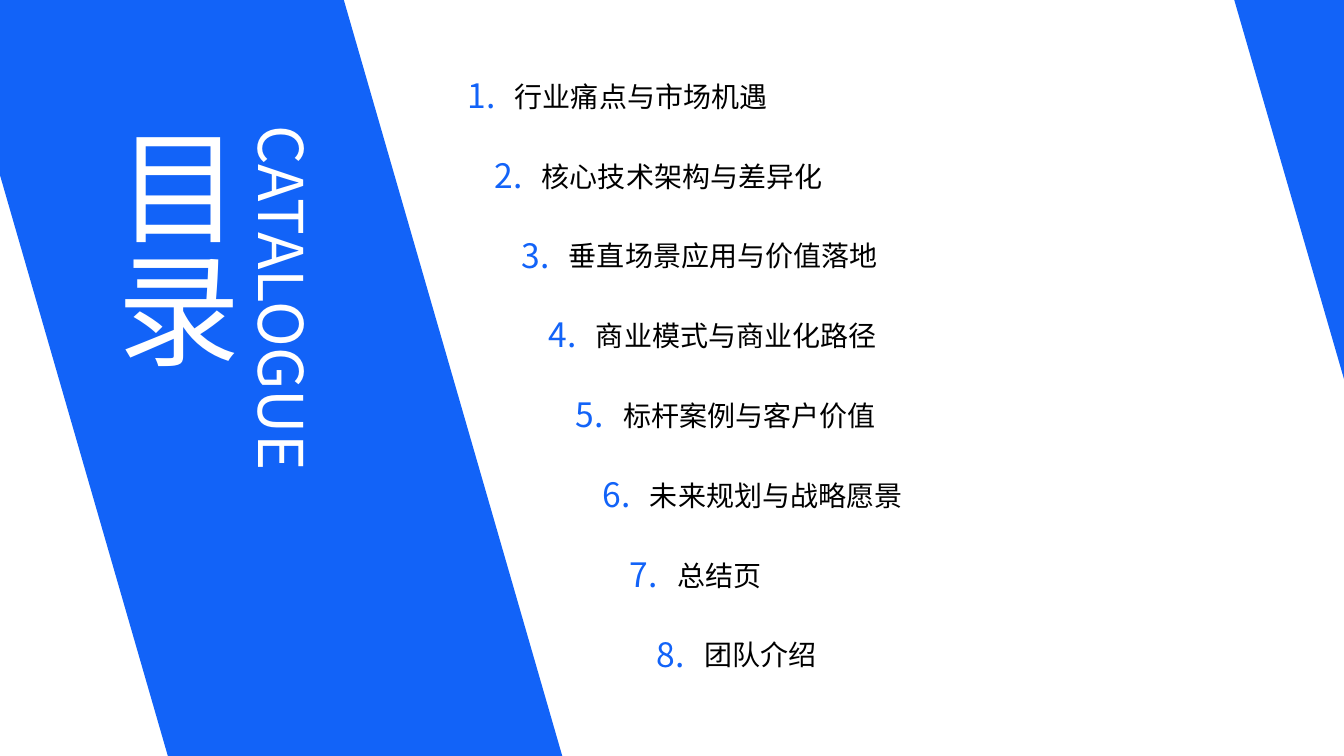
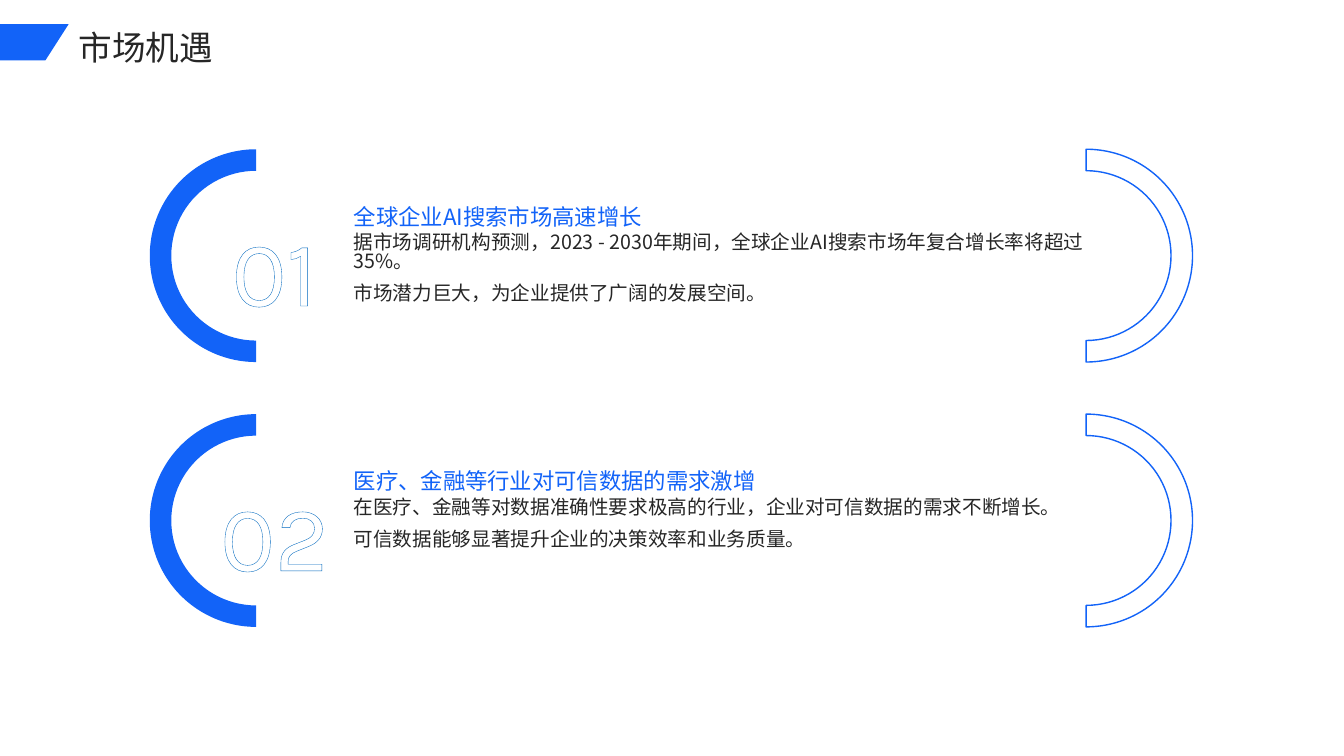
from dataclasses import dataclass

from lxml import etree
from pptx import Presentation
from pptx import util as u
from pptx.dml.color import RGBColor
from pptx.enum import shapes, text
from pptx.oxml import ns


@dataclass(frozen=True)
class Theme:
    blue: str = "1263F8"
    outline: str = "0068BF"
    white: str = "FFFFFF"
    black: str = "000000"
    ink: str = "262626"
    font: str = "Noto Sans CJK SC"
    digit_font: str = "Karla"
    cover: int = 88
    digits: int = 66
    side: int = 44
    title: int = 24
    entry: int = 20
    heading: int = 16
    body: int = 14


theme = Theme()
TOP, MIDDLE, BOTTOM = (text.MSO_ANCHOR.TOP, text.MSO_ANCHOR.MIDDLE,
                       text.MSO_ANCHOR.BOTTOM)


def set_text(shape, box, content, size, colour, spacing=1.1, anchor=TOP,
             font=theme.font, align=text.PP_ALIGN.LEFT, gap=0, vertical=False,
             margins=(0, 0)):
    """Place a text shape and format every paragraph in it."""
    shape.left, shape.top, shape.width, shape.height = map(u.Pt, box)
    frame = shape.text_frame
    frame.text = content
    frame.word_wrap = True
    frame.auto_size = text.MSO_AUTO_SIZE.NONE
    frame.vertical_anchor = anchor
    frame.margin_left = frame.margin_right = u.Pt(margins[0])
    frame.margin_top = frame.margin_bottom = u.Pt(margins[1])
    if vertical:
        frame._txBody.bodyPr.set("vert", "eaVert")
    for index, paragraph in enumerate(frame.paragraphs):
        paragraph.alignment = align
        paragraph.line_spacing = spacing
        paragraph.space_before = u.Pt(gap if index else 0)
        for run in paragraph.runs:
            run.font.size = u.Pt(size)
            run.font.name = font
            run.font.color.rgb = RGBColor.from_string(colour)
            east_asian = etree.SubElement(run.font._element, ns.qn("a:ea"))
            east_asian.set("typeface", font)
    return shape


def paint(shape, fill, line=None):
    """Give a shape a flat fill and an optional thin line."""
    shape.shadow.inherit = False
    shape.fill.solid()
    shape.fill.fore_color.rgb = RGBColor.from_string(fill)
    if line:
        shape.line.color.rgb = RGBColor.from_string(line)
        shape.line.width = u.Pt(1)
    else:
        shape.line.fill.background()


presentation = Presentation()
presentation.slide_width, presentation.slide_height = u.Pt(960), u.Pt(540)
title_only = presentation.slide_layouts[5]

# Contents slide: slanted bands
slide = presentation.slides.add_slide(title_only)
for box in ((-39, -10, 443, 558), (880.6, -3.6, 229, 288)):
    band = slide.shapes.add_shape(shapes.MSO_SHAPE.PARALLELOGRAM, *map(u.Pt, box))
    band.adjustments[0] = 0.364
    band.element.spPr.find(ns.qn("a:xfrm")).set("flipH", "1")
    paint(band, theme.blue)

# Contents slide: vertical title, brought in front of the band
title = set_text(slide.shapes.title, (86.4, 89.3, 101.5, 255), "目录",
                 theme.cover, theme.white, vertical=True)
title.element.getparent().append(title.element)
set_text(slide.shapes.add_textbox(0, 0, 0, 0), (187.9, 89.3, 46, 323.3),
         "CATALOGUE", theme.side, theme.white, vertical=True)

# Contents slide: entries stepping along the slant
entries = ("行业痛点与市场机遇", "核心技术架构与差异化", "垂直场景应用与价值落地",
           "商业模式与商业化路径", "标杆案例与客户价值", "未来规划与战略愿景",
           "总结页", "团队介绍")
for row, entry in enumerate(entries):
    left, top = 334 + 19.3 * row, 49.5 + 57 * row
    set_text(slide.shapes.add_textbox(0, 0, 0, 0), (left, top, 31, 34),
             f"{row + 1}.", theme.title, theme.blue, anchor=MIDDLE)
    set_text(slide.shapes.add_textbox(0, 0, 0, 0), (left + 33.8, top + 2.3, 404.6, 40),
             entry, theme.entry, theme.black, spacing=1.2)

# Opportunity slide: title with its slanted tab
slide = presentation.slides.add_slide(title_only)
set_text(slide.shapes.title, (49, 13, 843, 33), "市场机遇", theme.title, theme.ink,
         margins=(7.2, 3.6))
builder = slide.shapes.build_freeform(0, u.Pt(17.3))
builder.add_line_segments([(u.Pt(x), u.Pt(y)) for x, y in
                           ((49, 17.3), (32.4, 43.2), (0, 43.2))])
paint(builder.convert_to_shape(), theme.blue)

# Opportunity slide: numbered points between two arcs
points = (
    ("全球企业AI搜索市场高速增长",
     "据市场调研机构预测，2023 - 2030年期间，全球企业AI搜索市场年复合增长率将超过35%。\n"
     "市场潜力巨大，为企业提供了广阔的发展空间。"),
    ("医疗、金融等行业对可信数据的需求激增",
     "在医疗、金融等对数据准确性要求极高的行业，企业对可信数据的需求不断增长。\n"
     "可信数据能够显著提升企业的决策效率和业务质量。"),
)
for row, (heading, body) in enumerate(points):
    top = 106.6 + 189.2 * row
    for left, rotation, fill, line in ((107, 270, theme.blue, None),
                                       (699.8, 90, theme.white, theme.blue)):
        arc = slide.shapes.add_shape(shapes.MSO_SHAPE.BLOCK_ARC,
                                     *map(u.Pt, (left, top, 152, 152)))
        arc.adjustments[0], arc.adjustments[1], arc.adjustments[2] = 108, 0, 0.101
        arc.rotation = rotation
        paint(arc, fill, line)
    set_text(slide.shapes.add_textbox(0, 0, 0, 0), (252.7, top + 28.6, 556, 28.8),
             heading, theme.heading, theme.blue, spacing=1.3, anchor=BOTTOM)
    set_text(slide.shapes.add_textbox(0, 0, 0, 0), (252.7, top + 60.2, 556, 77.8),
             body, theme.body, theme.ink, spacing=0.83, gap=9)
    number = set_text(slide.shapes.add_textbox(0, 0, 0, 0), (147, top + 28.4, 98, 90.7),
                      f"{row + 1:02}", theme.digits, theme.white, spacing=1.3,
                      anchor=MIDDLE, font=theme.digit_font, align=text.PP_ALIGN.CENTER)

    # Outline of the digits
    properties = number.text_frame.paragraphs[0].runs[0].font._element
    outline = etree.Element(ns.qn("a:ln"), w=str(u.Pt(1.25)))
    outline_fill = etree.SubElement(outline, ns.qn("a:solidFill"))
    etree.SubElement(outline_fill, ns.qn("a:srgbClr"), val=theme.outline)
    properties.insert(0, outline)

presentation.save("out.pptx")
